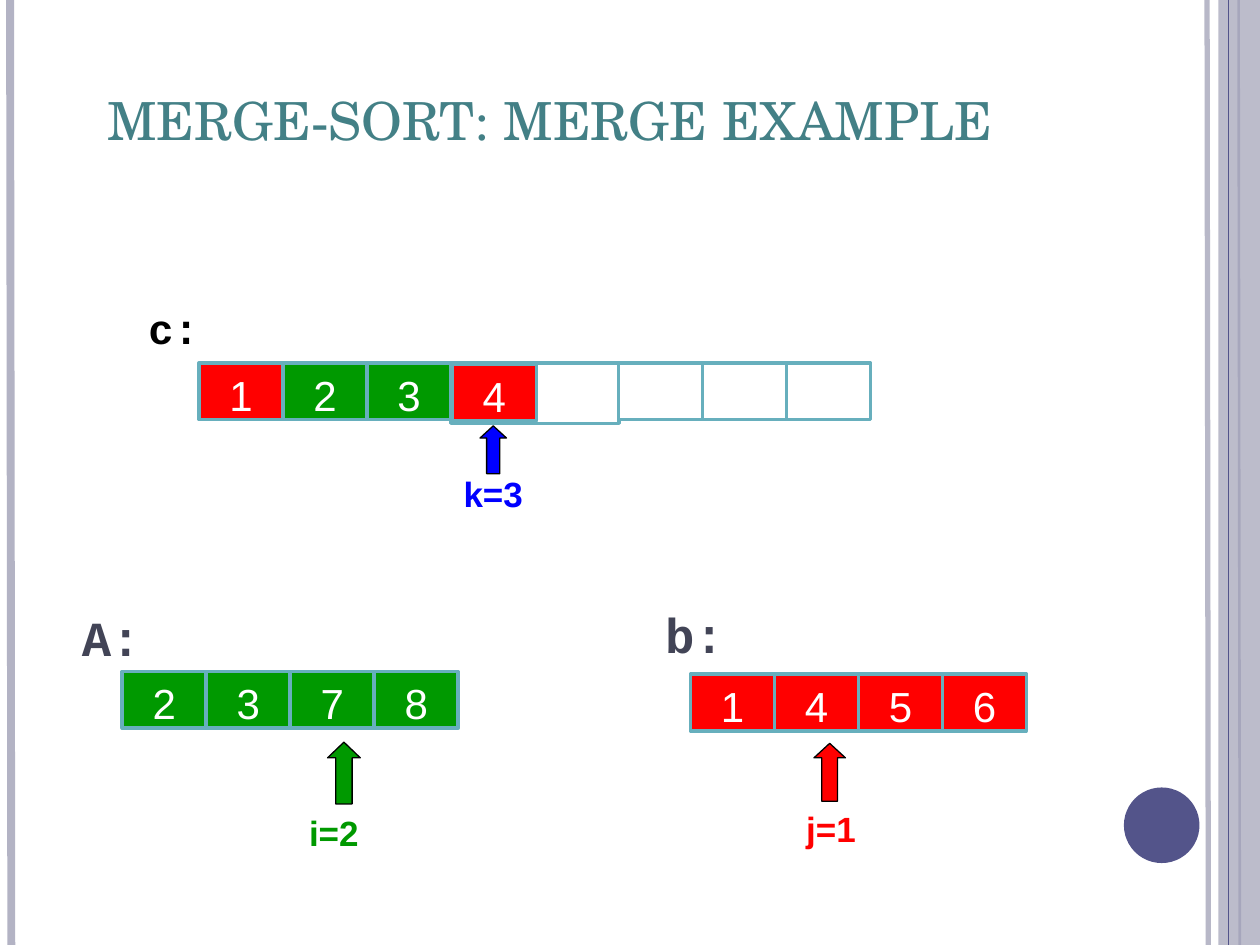
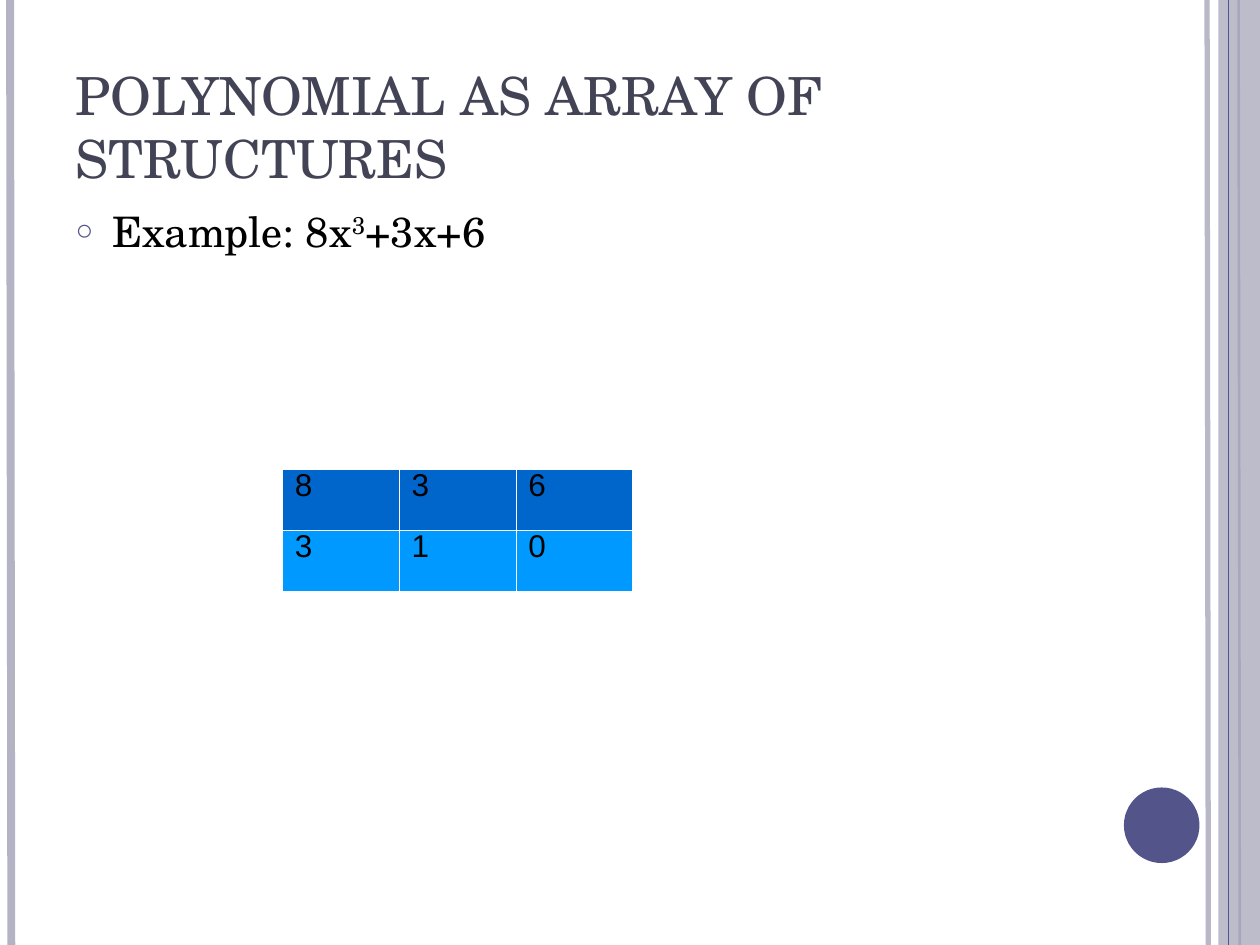
import dataclasses
from typing import Any

import lxml.etree
import pptx
import pptx.dml.color
import pptx.enum.shapes
import pptx.enum.text
import pptx.oxml.ns
import pptx.util

Inches = pptx.util.Inches
Pt = pptx.util.Pt
Shapes = pptx.enum.shapes.MSO_SHAPE
Align = pptx.enum.text.PP_ALIGN
qn = pptx.oxml.ns.qn

COLORS = {
    "lavender": "B3B3C4", "indigo": "53548A", "slate": "424456", "teal": "438086",
    "cell border": "67AFBD", "red": "FF0000", "green": "009900", "blue": "0000FF",
    "gray": "4D4D4D", "white": "FFFFFF", "black": "000000",
    "coefficient": "0066CC", "exponent": "0099FF",
}
SERIF, SANS, MONO = "TeX Gyre Schola", "Arial", "Courier New"
CELL_WIDTH = Inches(2) // 3


@dataclasses.dataclass
class Rule:
    top_x: float
    bottom_x: float
    color: str
    width: float
    opacity: int = 100


@dataclasses.dataclass
class ArrayRow:
    left: float
    top: float
    values: tuple[str, ...]
    fills: tuple[str, ...]
    height: float = 0.45


@dataclasses.dataclass
class Label:
    text: str
    left: float
    top: float
    width: float
    height: float
    size: int
    font: str
    color: str
    inset: float = 0
    align: Any = Align.LEFT


@dataclasses.dataclass
class Pointer:
    left: float
    top: float
    width: float
    height: float
    head: float
    color: str


RULES_BEHIND_BAND = (
    Rule(9.58, 9.59, "lavender", 3, 93),
    Rule(0.08, 0.09, "lavender", 4.5),
    Rule(9.83, 9.84, "indigo", 1.5),
)
RULE_ON_BAND = Rule(9.75, 9.75, "indigo", 0.75)

ARRAY_ROWS = (
    ArrayRow(1.58, 2.88, ("1", "2", "3"), ("red", "green", "green")),
    ArrayRow(3.58, 2.88, ("", ""), ("gray", "white"), 0.48),
    ArrayRow(4.91, 2.88, ("", "", ""), ("white",) * 3),
    ArrayRow(0.97, 5.33, ("2", "3", "7", "8"), ("green",) * 4),
    ArrayRow(5.48, 5.35, ("1", "4", "5", "6"), ("red",) * 4),
    ArrayRow(3.59, 2.89, ("4",), ("red",)),
)
LABELS = (
    Label("A:", 0.65, 4.77, 0.5, 0.57, 28, MONO, "slate"),
    Label("c:", 1.08, 2.35, 0.69, 0.5, 24, MONO, "black", 0.1),
    Label("b:", 5.28, 4.75, 0.5, 0.57, 28, MONO, "slate"),
    Label("i=2", 2.41, 6.39, 0.48, 0.44, 20, SANS, "green", 0, Align.CENTER),
    Label("j=1", 6.22, 6.36, 0.75, 0.44, 20, SANS, "red", 0.1, Align.CENTER),
    Label("k=3", 3.51, 3.7, 0.81, 0.44, 20, SANS, "blue", 0.1, Align.CENTER),
)
POINTERS = (
    Pointer(2.6, 5.89, 0.26, 0.49, 0.48, "green"),
    Pointer(6.46, 5.9, 0.25, 0.46, 0.46, "red"),
    Pointer(3.81, 3.38, 0.21, 0.38, 0.46, "blue"),
)
POLYNOMIAL = {"coefficient": ("8", "3", "6"), "exponent": ("3", "1", "0")}


def rgb(color: str) -> pptx.dml.color.RGBColor:
    return pptx.dml.color.RGBColor.from_string(COLORS[color])


def style(paragraph: Any, size: float, font: str, color: str, bold: bool = False) -> None:
    paragraph.font.size = Pt(size)
    paragraph.font.name = font
    paragraph.font.bold = bold
    paragraph.font.color.rgb = rgb(color)


def set_opacity(element: Any, percent: int) -> None:
    color = element.find(".//" + qn("a:srgbClr"))
    lxml.etree.SubElement(color, qn("a:alpha")).set("val", str(percent * 1000))


def place(shape: Any, left: float, top: float, width: float, height: float) -> None:
    shape.left, shape.top = Inches(left), Inches(top)
    shape.width, shape.height = Inches(width), Inches(height)


def add_filled(slide: Any, kind: Any, box: tuple[int, ...], fill: str,
               line: str = "", line_width: float = 0) -> Any:
    shape = slide.shapes.add_shape(kind, *box)
    shape.shadow.inherit = False
    shape.fill.solid()
    shape.fill.fore_color.rgb = rgb(fill)
    if line:
        shape.line.color.rgb = rgb(line)
        shape.line.width = Pt(line_width)
    else:
        shape.line.fill.background()
    return shape


def add_rule(slide: Any, rule: Rule) -> Any:
    connector = slide.shapes.add_connector(
        pptx.enum.shapes.MSO_CONNECTOR.STRAIGHT,
        Inches(rule.top_x), 0, Inches(rule.bottom_x), Inches(7.5))
    connector.line.color.rgb = rgb(rule.color)
    connector.line.width = Pt(rule.width)
    properties = connector.element.spPr
    if rule.opacity < 100:
        set_opacity(properties, rule.opacity)
    lxml.etree.SubElement(properties, qn("a:effectLst"))
    return connector


def build_master_frame(master: Any, slide: Any) -> None:
    frame = [add_rule(slide, rule) for rule in RULES_BEHIND_BAND]
    band = add_filled(slide, Shapes.RECTANGLE,
                      (Inches(9.67), 0, Inches(0.33), Inches(7.5)), "lavender")
    set_opacity(band.element.spPr, 87)
    disc = add_filled(slide, Shapes.OVAL,
                      (Inches(8.92), Inches(6.25), Inches(0.6), Inches(0.6)), "indigo")
    frame += [band, add_rule(slide, RULE_ON_BAND), disc]
    for position, part in enumerate(frame):
        part.element.find(".//" + qn("p:cNvPr")).set("id", str(100 + position))
        master.shapes.element.insert(2 + position, part.element)


def set_title(slide: Any, text: str, box: tuple[float, ...], color: str) -> None:
    title = slide.shapes.title
    place(title, *box)
    frame = title.text_frame
    frame.text = text
    frame.word_wrap = True
    frame.auto_size = pptx.enum.text.MSO_AUTO_SIZE.NONE
    frame.vertical_anchor = pptx.enum.text.MSO_ANCHOR.BOTTOM
    frame.paragraphs[0].alignment = Align.LEFT
    style(frame.paragraphs[0], 30, SERIF, color)


def add_array_row(slide: Any, row: ArrayRow) -> None:
    for index, (value, fill) in enumerate(zip(row.values, row.fills)):
        box = (Inches(row.left) + index * CELL_WIDTH, Inches(row.top),
               CELL_WIDTH, Inches(row.height))
        cell = add_filled(slide, Shapes.RECTANGLE, box, fill, "cell border", 2)
        if value:
            frame = cell.text_frame
            frame.text = value
            frame.margin_bottom = 0
            frame.vertical_anchor = pptx.enum.text.MSO_ANCHOR.TOP
            frame.paragraphs[0].alignment = Align.CENTER
            style(frame.paragraphs[0], 24, SANS, "white")


def add_label(slide: Any, label: Label) -> None:
    box = slide.shapes.add_textbox(Inches(label.left), Inches(label.top),
                                   Inches(label.width), Inches(label.height))
    frame = box.text_frame
    frame.text = label.text
    frame.word_wrap = True
    frame.margin_left = frame.margin_right = Inches(label.inset)
    frame.paragraphs[0].alignment = label.align
    style(frame.paragraphs[0], label.size, label.font, label.color, bold=True)


def add_pointer(slide: Any, pointer: Pointer) -> None:
    box = (Inches(pointer.left), Inches(pointer.top),
           Inches(pointer.width), Inches(pointer.height))
    arrow = add_filled(slide, Shapes.UP_ARROW, box, pointer.color, "black", 0.75)
    arrow.adjustments[0] = 0.5
    arrow.adjustments[1] = pointer.head


def build_merge_slide(slide: Any) -> None:
    set_title(slide, "MERGE-SORT: MERGE EXAMPLE", (0.75, 0, 8.5, 1.25), "teal")
    for row in ARRAY_ROWS:
        add_array_row(slide, row)
    for label in LABELS:
        add_label(slide, label)
    for pointer in POINTERS:
        add_pointer(slide, pointer)


def add_bullet(paragraph: Any) -> None:
    properties = paragraph._p.get_or_add_pPr()
    properties.set("marL", str(Inches(0.29)))
    properties.set("indent", str(-Inches(0.29)))
    color = lxml.etree.SubElement(properties, qn("a:buClr"))
    lxml.etree.SubElement(color, qn("a:srgbClr")).set("val", COLORS["indigo"])
    lxml.etree.SubElement(properties, qn("a:buSzPct")).set("val", "70000")
    lxml.etree.SubElement(properties, qn("a:buChar")).set("char", "○")


def set_example(body: Any) -> None:
    place(body, 0.5, 1.58, 8.75, 5.5)
    frame = body.text_frame
    frame.auto_size = pptx.enum.text.MSO_AUTO_SIZE.NONE
    example = frame.paragraphs[0]
    add_bullet(example)
    example.space_before = Pt(0)
    for text, is_power in (("Example: 8x", False), ("3", True), ("+3x+6", False)):
        run = example.add_run()
        run.text = text
        if is_power:
            run._r.get_or_add_rPr().set("baseline", "30000")
    style(example, 24, SERIF, "black")


def add_cell_borders(cell: Any) -> None:
    properties = cell._tc.get_or_add_tcPr()
    for side in ("a:lnL", "a:lnR", "a:lnT", "a:lnB"):
        border = lxml.etree.SubElement(properties, qn(side), w=str(Pt(0.06)))
        fill = lxml.etree.SubElement(border, qn("a:solidFill"))
        lxml.etree.SubElement(fill, qn("a:srgbClr")).set("val", COLORS["white"])


def add_polynomial_table(slide: Any) -> None:
    table = slide.shapes.add_table(len(POLYNOMIAL), 3, Inches(2.24), Inches(3.72),
                                   Inches(2.78), Inches(0.97)).table
    table.first_row = table.horz_banding = False
    for row, (part, values) in enumerate(POLYNOMIAL.items()):
        for column, value in enumerate(values):
            cell = table.cell(row, column)
            add_cell_borders(cell)
            cell.fill.solid()
            cell.fill.fore_color.rgb = rgb(part)
            cell.text = value
            paragraph = cell.text_frame.paragraphs[0]
            paragraph.line_spacing = 0.76
            style(paragraph, 18, SANS, "black")


def build_polynomial_slide(slide: Any) -> None:
    set_title(slide, "POLYNOMIAL AS ARRAY OF STRUCTURES", (0.5, 0.3, 8.17, 1.25), "slate")
    set_example(slide.placeholders[1])
    add_polynomial_table(slide)


def main() -> None:
    presentation = pptx.Presentation()
    presentation.slide_width, presentation.slide_height = Inches(10), Inches(7.5)
    merge_slide = presentation.slides.add_slide(presentation.slide_layouts[5])
    build_master_frame(presentation.slide_master, merge_slide)
    build_merge_slide(merge_slide)
    build_polynomial_slide(presentation.slides.add_slide(presentation.slide_layouts[1]))
    presentation.save("out.pptx")


if __name__ == "__main__":
    main()
